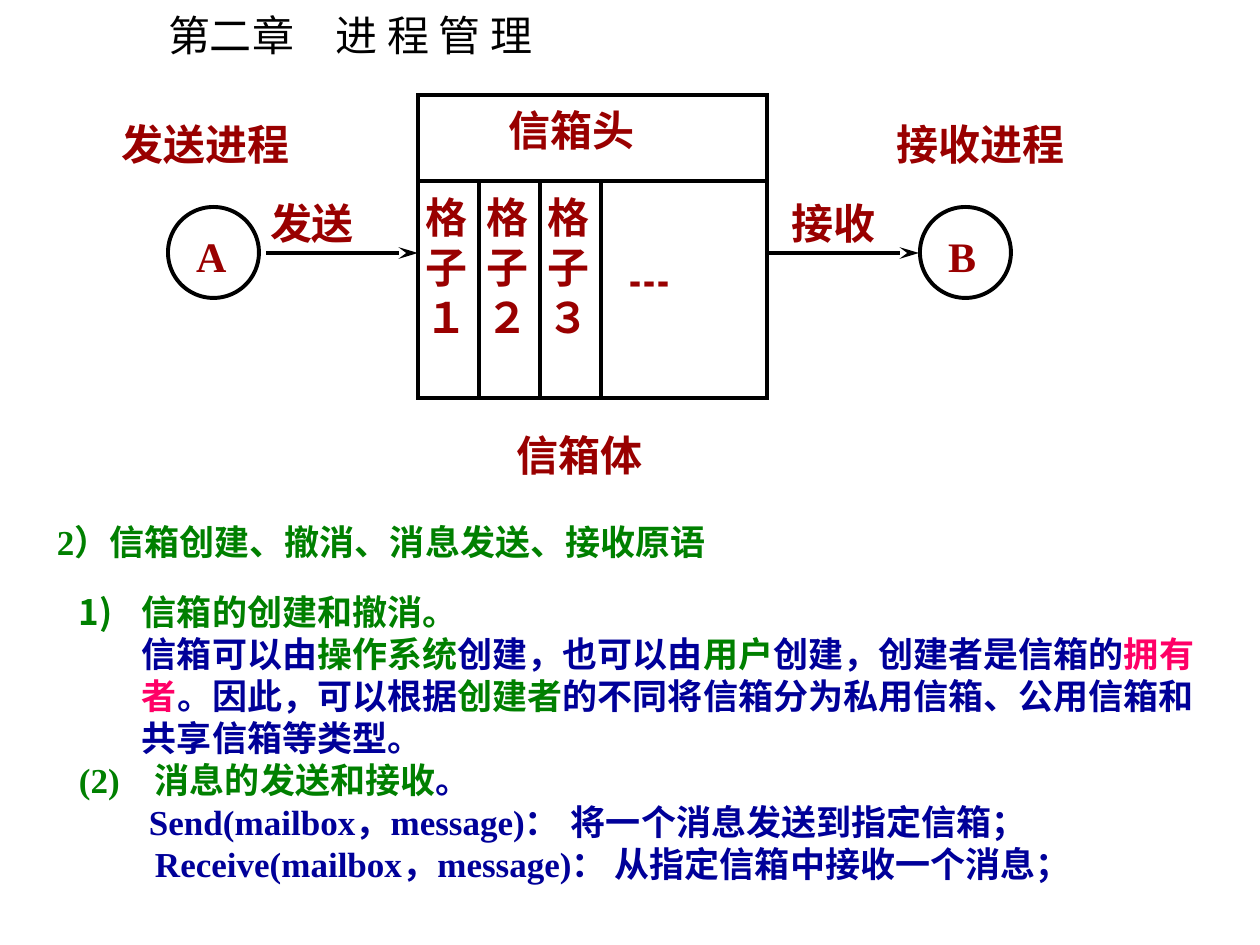
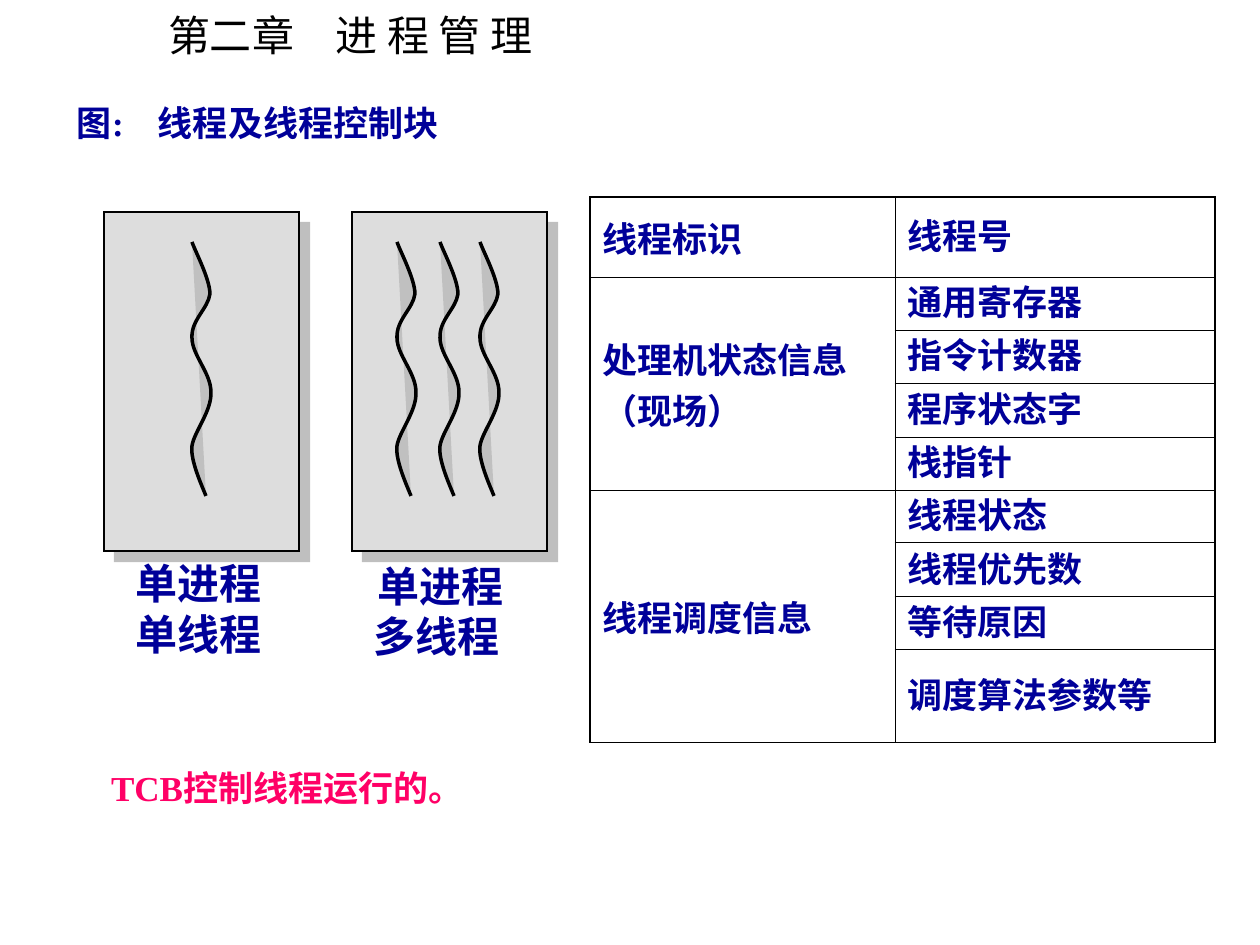
from lxml import etree
from pptx import Presentation
from pptx.dml.color import RGBColor
from pptx.enum.shapes import MSO_CONNECTOR, MSO_SHAPE
from pptx.enum.text import MSO_ANCHOR
from pptx.oxml.ns import qn
from pptx.util import Pt

RECT, OVAL = MSO_SHAPE.RECTANGLE, MSO_SHAPE.OVAL
STRAIGHT = MSO_CONNECTOR.STRAIGHT
TOP, MIDDLE = MSO_ANCHOR.TOP, MSO_ANCHOR.MIDDLE

BLACK = RGBColor(0x00, 0x00, 0x00)
RED = RGBColor(0x99, 0x00, 0x00)
GREEN = RGBColor(0x00, 0x80, 0x00)
NAVY = RGBColor(0x00, 0x00, 0x99)
PINK = RGBColor(0xFF, 0x00, 0x66)
PANEL = RGBColor(0xDD, 0xDD, 0xDD)
WAVE = RGBColor(0xC0, 0xC0, 0xC0)
SHADE = RGBColor(0x80, 0x80, 0x80)

LATIN, HAN = "Times New Roman", "Noto Sans CJK SC"
SCALE = 914400 / 126
PAD = (13, 6, 13, 6)

# Cubic curve of one thread: a start, then three points per segment
CURVE = [(0, 0), (3, 9), (18, 37), (18, 52), (16, 67), (-1, 78), (0, 96),
         (0, 113), (19, 131), (19, 150), (20, 169), (2, 190), (0, 204),
         (-2, 218), (10, 244), (14, 254)]


def px(*nums):
    return [round(n * SCALE) for n in nums]


def sub(node, tag, **attrs):
    return etree.SubElement(node, qn(tag), {k: str(v) for k, v in attrs.items()})


# ---- Text ----

def style(run, size, color, bold=True, face=LATIN):
    font = run.font
    font.size, font.bold, font.name = Pt(size), bold, face
    font.color.rgb = color
    sub(run._r.get_or_add_rPr(), "a:ea", typeface=HAN)


def fill_text(frame, lines, size, color, **look):
    """Each line is a string or a list of (text, colour) runs."""
    for i, line in enumerate(lines):
        para = frame.paragraphs[0] if i == 0 else frame.add_paragraph()
        parts = [(line, color)] if isinstance(line, str) else line
        for words, tint in parts:
            run = para.add_run()
            run.text = words
            style(run, size, tint, **look)


def set_frame(frame, pad):
    frame.word_wrap = True
    frame.vertical_anchor = TOP
    (frame.margin_left, frame.margin_top,
     frame.margin_right, frame.margin_bottom) = px(*pad)


def add_text(slide, box, lines, size, color, pad=PAD, **look):
    frame = slide.shapes.add_textbox(*px(*box)).text_frame
    set_frame(frame, pad)
    fill_text(frame, lines, size, color, **look)
    return frame.paragraphs


def indent(para, left, first=0):
    props = para._p.get_or_add_pPr()
    left, first = px(left, first)
    props.set("marL", str(left))
    props.set("indent", str(first))


# ---- Shapes ----

def add_box(slide, kind, box, lines=(), pad=PAD, fill=None, width=2.25, **look):
    shape = slide.shapes.add_shape(kind, *px(*box))
    shape.shadow.inherit = False
    if fill is None:
        shape.fill.background()
    else:
        shape.fill.solid()
        shape.fill.fore_color.rgb = fill
    shape.line.color.rgb = BLACK
    shape.line.width = Pt(width)
    sub(shape._element.spPr.find(qn("a:ln")), "a:miter", lim=800000)
    if lines:
        set_frame(shape.text_frame, pad)
        fill_text(shape.text_frame, lines, 24, RED, **look)
        for para in shape.text_frame.paragraphs:
            para._p.get_or_add_pPr().set("algn", "l")
    return shape


def add_arrow(slide, x1, x2, y):
    arrow = slide.shapes.add_connector(STRAIGHT, *px(x1, y, x2, y))
    arrow.line.color.rgb = BLACK
    arrow.line.width = Pt(2.25)
    props = arrow._element.spPr
    sub(props.find(qn("a:ln")), "a:tailEnd", type="stealth", len="lg")
    sub(props, "a:effectLst")


def add_wave(slide, x, y):
    pts = [(x + dx, y + dy) for dx, dy in CURVE]
    pen = slide.shapes.build_freeform(*pts[0], scale=SCALE)
    pen.add_line_segments(pts[1:], close=False)
    wave = pen.convert_to_shape()
    wave.shadow.inherit = False
    wave.fill.solid()
    wave.fill.fore_color.rgb = WAVE
    wave.line.color.rgb = BLACK
    wave.line.width = Pt(2)
    # Join each three points into one cubic segment
    trail = wave._element.spPr.find(".//" + qn("a:path"))
    steps = trail.findall(qn("a:lnTo"))
    for i in range(0, len(steps), 3):
        bend = sub(trail, "a:cubicBezTo")
        for step in steps[i:i + 3]:
            bend.append(step[0])
            trail.remove(step)


def add_title(slide):
    add_text(slide, (155, 4, 420, 63), ["第二章　进 程 管 理"], 24, BLACK,
             bold=False, face=HAN)


# ---- Slide 1: mailbox ----

def draw_mail(slide, x, y):
    # Floating labels
    pad = (8, 10, 0, 0)
    for words, dx, dy, wide in (("发送进程", -304, 13, 198), ("接收进程", 471, 13, 198),
                                ("发送", -156, 92, 122), ("接收", 366, 92, 122),
                                ("信箱体", 91, 324, 183)):
        add_text(slide, (x + dx, y + dy, wide, 72), [words], 24, RED, pad)
    # Head, slots and the remaining body
    add_box(slide, RECT, (x, y, 349, 86), ["信箱头"], (91, 10, 13, 0))
    slot, top, tall = 61, y + 86, 217
    for i, digit in enumerate("１２３"):
        add_box(slide, RECT, (x + i * slot, top, slot, tall),
                ["格", "子", digit], (8, 10, 8, 1))
    add_box(slide, RECT, (x + 3 * slot, top, 349 - 3 * slot, tall),
            ["┅"], (28, 78, 8, 6), face=HAN)
    # Processes and arrows
    add_arrow(slide, x - 152, x, y + 158)
    add_arrow(slide, x + 349, x + 501, y + 158)
    for name, dx in (("A", -250), ("B", 502)):
        add_box(slide, OVAL, (x + dx, y + 112, 91, 91), [name], (15, 10, 0, 0))


def draw_notes(slide, x, y):
    add_text(slide, (x, y, 760, 55), ["2）信箱创建、撤消、消息发送、接收原语"], 20, GREEN)
    lines = [
        [("信箱的创建和撤消。", GREEN)],
        [("信箱可以由", NAVY), ("操作系统", GREEN), ("创建，也可以由", NAVY),
         ("用户", GREEN), ("创建，创建者是信箱的", NAVY), ("拥有者", PINK),
         ("。因此，可以根据", NAVY), ("创建者", GREEN),
         ("的不同将信箱分为私用信箱、公用信箱和共享信箱等类型。", NAVY)],
        [("(2)　消息的发送和接收", GREEN), ("。", NAVY)],
        "Send(mailbox，message)：\t将一个消息发送到指定信箱；",
        "Receive(mailbox，message)： 从指定信箱中接收一个消息；",
    ]
    first, body, second, send, receive = add_text(
        slide, (x + 22, y + 70, 1142, 349), lines, 20, NAVY)
    indent(first, 63, -63)
    props = first._p.get_or_add_pPr()
    sub(sub(props, "a:buClr"), "a:srgbClr", val=GREEN)
    sub(props, "a:buFont", typeface=HAN)
    sub(props, "a:buAutoNum", type="arabicParenR")
    indent(body, 63)
    indent(second, 0)
    indent(send, 51, 19)
    indent(receive, 0, 76)


# ---- Slide 2: threads ----

def draw_panel(slide, x, y, waves):
    panel = add_box(slide, RECT, (x, y, 195, 339), fill=PANEL, width=0.75)
    cast = sub(panel._element.spPr.find(qn("a:effectLst")), "a:outerShdw",
               dist=Pt(8.5), dir=45 * 60000, algn="ctr", rotWithShape=0)
    sub(sub(cast, "a:srgbClr", val=SHADE), "a:alpha", val=50000)
    for dx in waves:
        add_wave(slide, x + dx, y + 30)


def set_edge(cell, tag, points):
    edge = sub(cell._tc.get_or_add_tcPr(), tag, w=Pt(points))
    sub(sub(edge, "a:solidFill"), "a:srgbClr", val=BLACK)


def draw_table(slide, x, y):
    groups = [("线程标识", ["线程号"]),
              ("处理机状态信息（现场）", ["通用寄存器", "指令计数器", "程序状态字", "栈指针"]),
              ("线程调度信息", ["线程状态", "线程优先数", "等待原因", "调度算法参数等"])]
    cols, rows = [305, 320], [80, 53, 53, 54, 53, 53, 54, 53, 93]
    table = slide.shapes.add_table(
        len(rows), len(cols), *px(x, y, sum(cols), sum(rows))).table
    table.first_row = table.horz_banding = False
    for col, wide in zip(table.columns, px(*cols)):
        col.width = wide
    for row, tall in zip(table.rows, px(*rows)):
        row.height = tall
    # Borders: thick outside, thin inside
    for r in range(len(rows)):
        for c in range(len(cols)):
            cell = table.cell(r, c)
            cell.vertical_anchor = MIDDLE
            for tag, outer in (("a:lnL", c == 0), ("a:lnR", c == 1),
                               ("a:lnT", r == 0), ("a:lnB", r == len(rows) - 1)):
                set_edge(cell, tag, 0.96 if outer else 0.45)
            cell.fill.background()
    # Words
    r = 0
    for head, items in groups:
        lead = table.cell(r, 0)
        if len(items) > 1:
            lead.merge(table.cell(r + len(items) - 1, 0))
        fill_text(lead.text_frame, [head], 20, NAVY)
        for item in items:
            frame = table.cell(r, 1).text_frame
            fill_text(frame, [item], 20, NAVY)
            frame.paragraphs[0].line_spacing = 0.8
            r += 1


def draw_threads(slide, x, y):
    draw_panel(slide, x, y, [88])
    draw_panel(slide, x + 248, y, [45, 88, 128])
    add_text(slide, (x + 19, y + 340, 189, 129), ["单进程", "单线程"], 24, NAVY)
    many = add_text(slide, (x + 257, y + 342, 179, 120), ["单进程", "多线程"], 24, NAVY)
    indent(many[0], 0, 4)


def main():
    deck = Presentation()
    deck.slide_width, deck.slide_height = px(1260, 945)
    mail, threads = [deck.slides.add_slide(deck.slide_layouts[6]) for _ in range(2)]
    for slide in (mail, threads):
        add_title(slide)

    draw_mail(mail, 418, 95)
    draw_notes(mail, 44, 514)

    caption = add_text(threads, (64, 95, 595, 59), ["图:\t线程及线程控制块"], 20, NAVY)
    indent(caption[0], 18, -18)
    draw_threads(threads, 104, 212)
    draw_table(threads, 590, 197)
    add_text(threads, (98, 760, 420, 55), ["TCB控制线程运行的。"], 20, PINK)

    deck.save("out.pptx")


if __name__ == "__main__":
    main()
